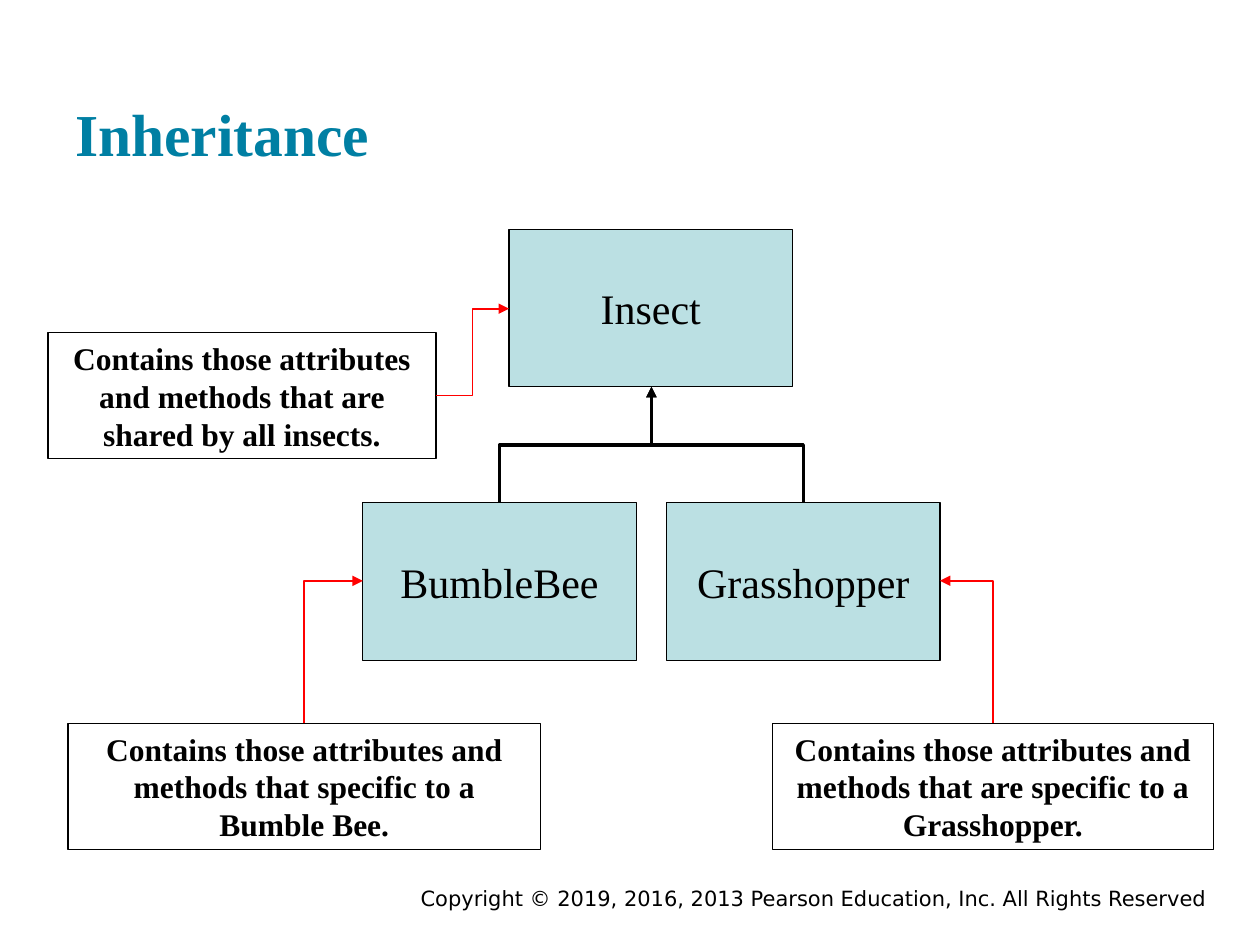
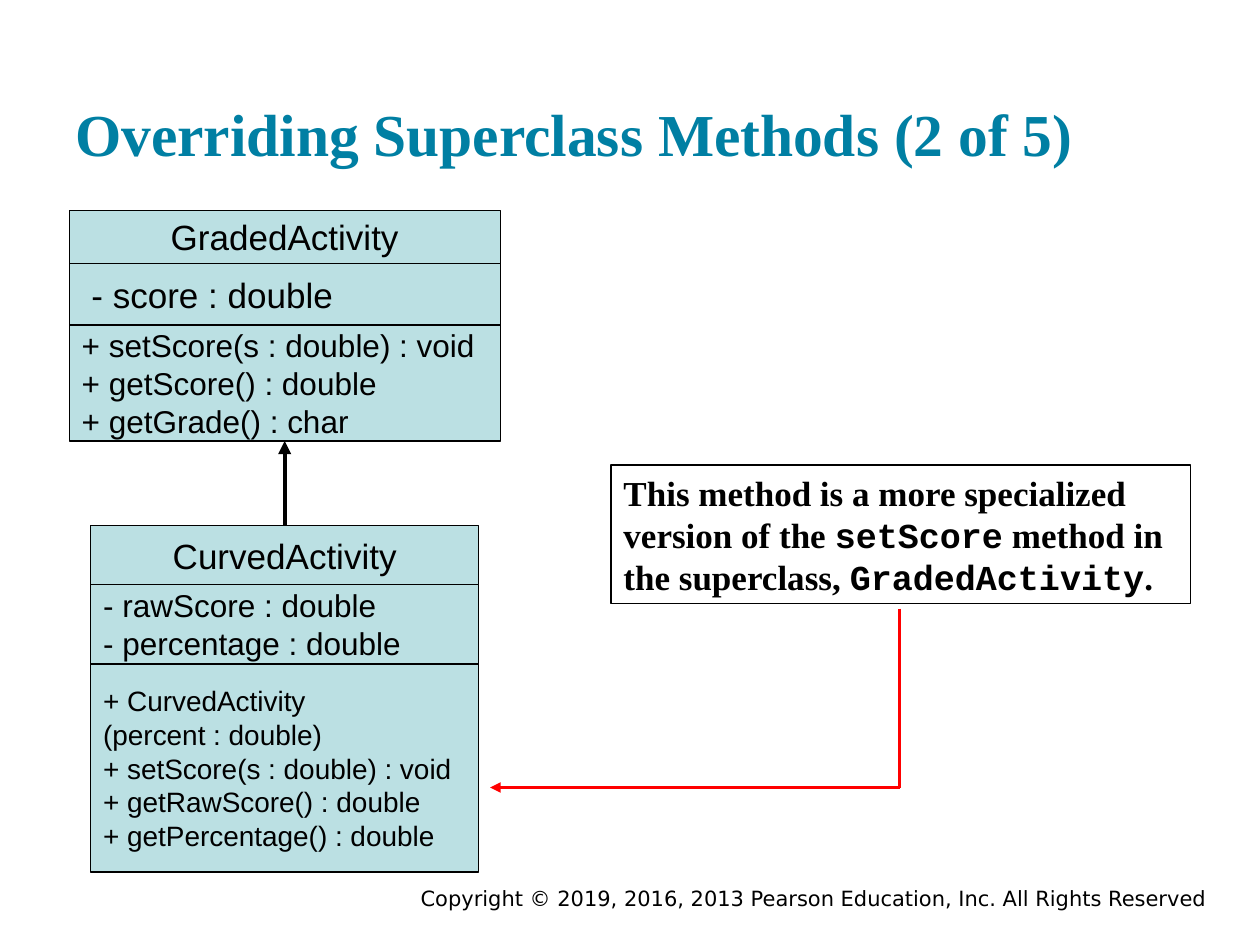
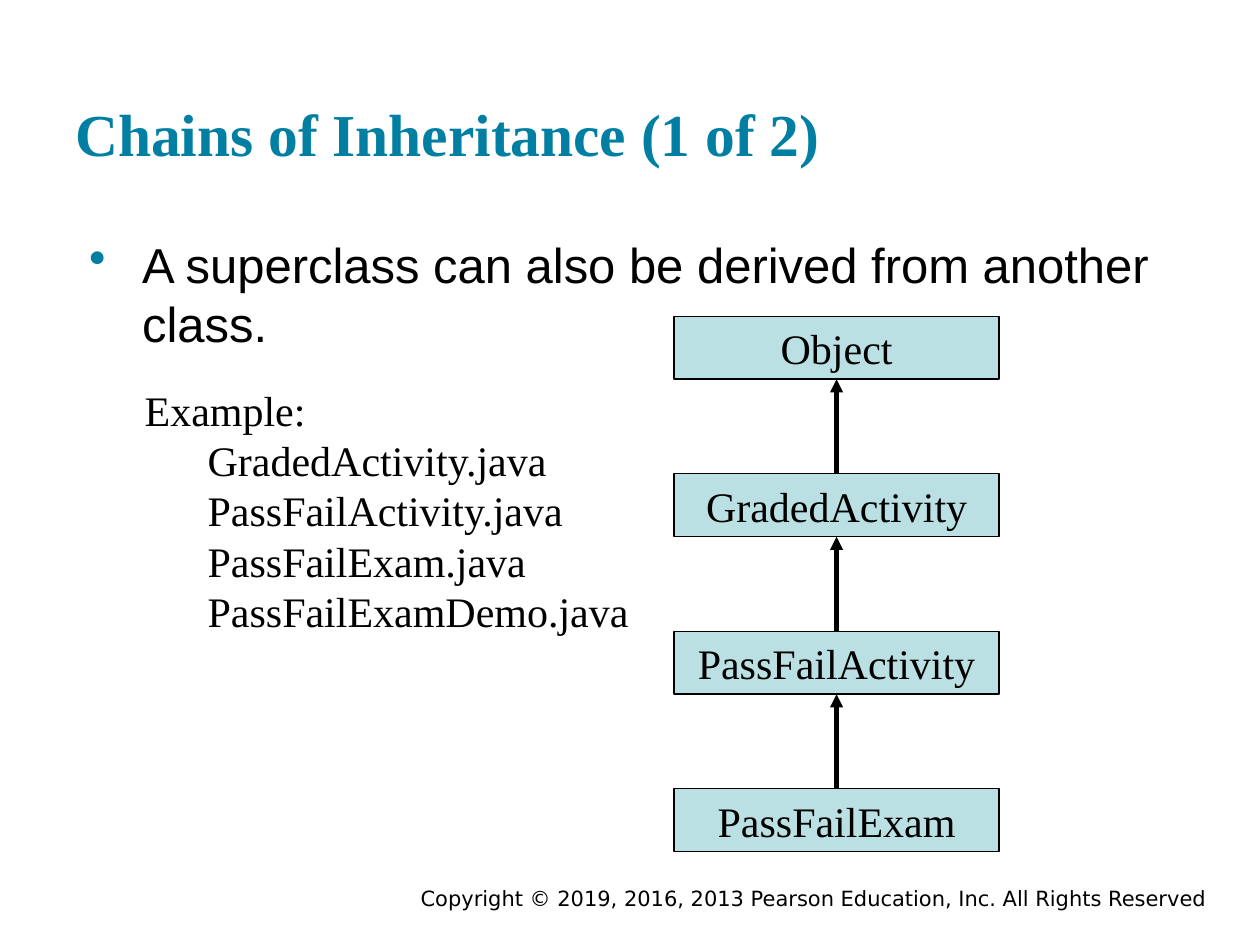
from lxml.etree import SubElement
from pptx import Presentation
from pptx.dml.color import RGBColor
from pptx.enum.shapes import MSO_CONNECTOR as Connector, MSO_SHAPE as Shape
from pptx.enum.text import MSO_ANCHOR as Anchor, PP_ALIGN as Align
from pptx.oxml.ns import qn
from pptx.util import Inches, Pt

BLACK = RGBColor(0x00, 0x00, 0x00)
RED = RGBColor(0xFF, 0x00, 0x00)
TEAL = RGBColor(0x00, 0x7F, 0xA3)
PALE_BLUE = RGBColor(0xBB, 0xE0, 0xE3)

SERIF, SANS, MONO = "Times New Roman", "Arial", "Courier New"
COPYRIGHT = "Copyright © 2019, 2016, 2013 Pearson Education, Inc. All Rights Reserved"


class LessonDeck:
    """Builds lesson pages with a shared title, footer and diagram style."""

    def __init__(self):
        self.deck = Presentation()
        self.deck.slide_width = Inches(10)
        self.deck.slide_height = Inches(7.5)
        self.page = None

    def add_page(self, title):
        self.page = self.deck.slides.add_slide(self.deck.slide_layouts[6])
        self.text((1.75, 7.03, 7.83, 0.22), COPYRIGHT, 12, "DejaVu Sans",
                  align=Align.RIGHT, inset=(0, 0))
        self.text((0.5, 0.24, 9, 1.2), title, 34, SERIF, color=TEAL, bold=True,
                  anchor=Anchor.BOTTOM, inset=(0.1, 0.1))

    def set_text(self, box, text, size, font, color=BLACK, bold=False,
                 align=Align.LEFT, anchor=Anchor.TOP, inset=(0.1, 0.05)):
        frame = box.text_frame
        frame.text = text
        frame.word_wrap = True
        frame.vertical_anchor = anchor
        frame.margin_left = frame.margin_right = Inches(inset[0])
        frame.margin_top = frame.margin_bottom = Inches(inset[1])
        for para in frame.paragraphs:
            para.alignment = align
            for span in para.runs:
                self.style(span.font, size, font, color, bold)
        return frame.paragraphs[0]

    def style(self, target, size, font, color=BLACK, bold=False):
        target.name = font
        target.size = Pt(size)
        target.bold = bold
        target.color.rgb = color

    def text(self, area, text, size, font, **options):
        box = self.page.shapes.add_textbox(*map(Inches, area))
        return self.set_text(box, text, size, font, **options)

    def indent(self, para, left, first):
        properties = para._p.get_or_add_pPr()
        properties.set("marL", str(Inches(left)))
        properties.set("indent", str(Inches(first)))
        return properties

    def bullet(self, area, text):
        para = self.text(area, text, 28, SANS, inset=(0.1, 0.1))
        properties = self.indent(para, 0.53, -0.42)
        color = SubElement(properties, qn("a:buClr"))
        SubElement(color, qn("a:srgbClr")).set("val", str(TEAL))
        SubElement(properties, qn("a:buChar")).set("char", "•")

    def box(self, area, text, size=24, font=SERIF, fill=PALE_BLUE, line=0.75,
            align=Align.CENTER, anchor=Anchor.MIDDLE, bold=False):
        box = self.page.shapes.add_shape(Shape.RECTANGLE, *map(Inches, area))
        box.shadow.inherit = False
        if fill is None:
            box.fill.background()
        else:
            box.fill.solid()
            box.fill.fore_color.rgb = fill
        box.line.color.rgb = BLACK
        box.line.width = Pt(line)
        return self.set_text(box, text, size, font, bold=bold, align=align, anchor=anchor)

    def note(self, area, text):
        self.box(area, text, size=18, fill=None, bold=True)

    def rich_note(self, area, parts, size):
        para = self.box(area, "", fill=None, line=1, align=Align.LEFT, anchor=Anchor.TOP)
        for text, font in parts:
            span = para.add_run()
            span.text = text
            self.style(span.font, size, font, bold=True)

    def class_diagram(self, left, top, width, sections):
        for index, (height, size, text) in enumerate(sections):
            self.box((left, top, width, height), text, size, SANS,
                     align=Align.LEFT if index else Align.CENTER)
            top += height

    def line(self, start, end, color=BLACK, width=2.5, arrow=True, kind=Connector.STRAIGHT):
        line = self.page.shapes.add_connector(kind, *map(Inches, (*start, *end)))
        line.line.color.rgb = color
        line.line.width = Pt(width)
        properties = line._element.spPr
        if arrow:
            SubElement(properties.get_or_add_ln(), qn("a:tailEnd")).set("type", "triangle")
        SubElement(properties, qn("a:effectLst"))
        return line

    def rising_elbow(self, start, end, color, width, preset="bentConnector3"):
        middle_x, middle_y = (start[0] + end[0]) / 2, (start[1] + end[1]) / 2
        run, rise = (end[0] - start[0]) / 2, (start[1] - end[1]) / 2
        elbow = self.line((middle_x - rise, middle_y - run), (middle_x + rise, middle_y + run),
                          color, width, kind=Connector.ELBOW)
        properties = elbow._element.spPr
        properties.find(qn("a:xfrm")).set("rot", str(270 * 60000))
        properties.find(qn("a:prstGeom")).set("prst", preset)


def inheritance(lesson):
    lesson.add_page("Inheritance")
    lesson.box((4.04, 1.82, 2.25, 1.25), "Insect")
    for left, name in ((5.29, "Grasshopper"), (2.88, "BumbleBee")):
        lesson.box((left, 3.99, 2.17, 1.25), name)
        lesson.rising_elbow((left + 2.17 / 2, 3.99), (5.17, 3.07), BLACK, 2)
    lesson.note((0.38, 2.64, 3.08, 1),
                "Contains those attributes and methods that are shared by all insects.")
    lesson.line((3.46, 3.14), (4.04, 2.45), RED, 1, kind=Connector.ELBOW)
    for left, width, target, text in (
        (0.54, 3.75, 2.88, "Contains those attributes and methods that specific to a Bumble Bee."),
        (6.13, 3.5, 7.46, "Contains those attributes and methods that are specific to a Grasshopper."),
    ):
        lesson.note((left, 5.74, width, 1), text)
        lesson.rising_elbow((left + width / 2, 5.74), (target, 4.61), RED, 1, "bentConnector2")


def overriding(lesson):
    lesson.add_page("Overriding Superclass Methods (2 of 5)")
    lesson.class_diagram(0.55, 1.67, 3.42, (
        (0.42, 20, "GradedActivity"),
        (0.49, 20, " - score : double"),
        (0.92, 18, "+ setScore(s : double) : void\n+ getScore() : double\n+ getGrade() : char"),
    ))
    lesson.class_diagram(0.72, 4.17, 3.08, (
        (0.47, 20, "CurvedActivity"),
        (0.63, 18, "- rawScore : double\n- percentage : double"),
        (1.65, 16, "+ CurvedActivity\n(percent : double)\n+ setScore(s : double) : void\n"
                   "+ getRawScore() : double\n+ getPercentage() : double"),
    ))
    lesson.line((2.26, 4.17), (2.26, 3.5))
    lesson.rich_note((4.85, 3.69, 4.6, 1.1), (
        ("This method is a more specialized version of the ", SERIF),
        ("setScore", MONO),
        (" method in the superclass, ", SERIF),
        ("GradedActivity", MONO),
        (".", SERIF),
    ), 20)
    lesson.line((7.14, 6.25), (3.89, 6.25), RED, 2)
    lesson.line((7.14, 4.83), (7.14, 6.25), RED, 2, arrow=False)


def chains(lesson):
    lesson.add_page("Chains of Inheritance (1 of 2)")
    lesson.bullet((0.5, 1.76, 9, 4.95), "A superclass can also be derived from another class.")
    files = ("GradedActivity", "PassFailActivity", "PassFailExam", "PassFailExamDemo")
    listing = "\v".join(["Example:"] + [f"{name}.java" for name in files])
    lesson.indent(lesson.text((1.05, 3, 4.04, 2.1), listing, 24, SERIF), 0.5, -0.5)
    top, height, step = 2.51, 0.5, 1.25
    for index, name in enumerate(("Object", "GradedActivity", "PassFailActivity", "PassFailExam")):
        level = top + index * step
        lesson.box((5.35, level, 2.58, height), name)
        if index:
            lesson.line((6.64, level), (6.64, level - step + height))


def main():
    lesson = LessonDeck()
    for build in (inheritance, overriding, chains):
        build(lesson)
    lesson.deck.save("out.pptx")


if __name__ == "__main__":
    main()
